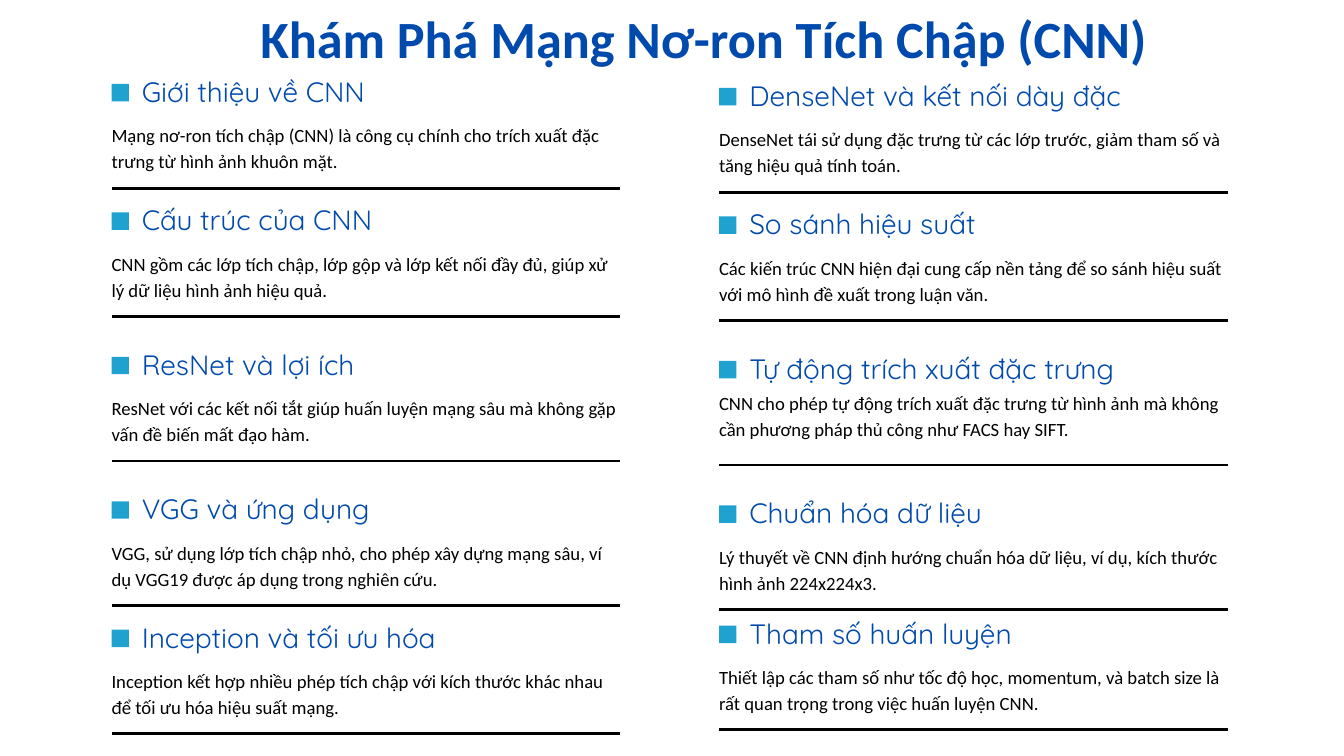
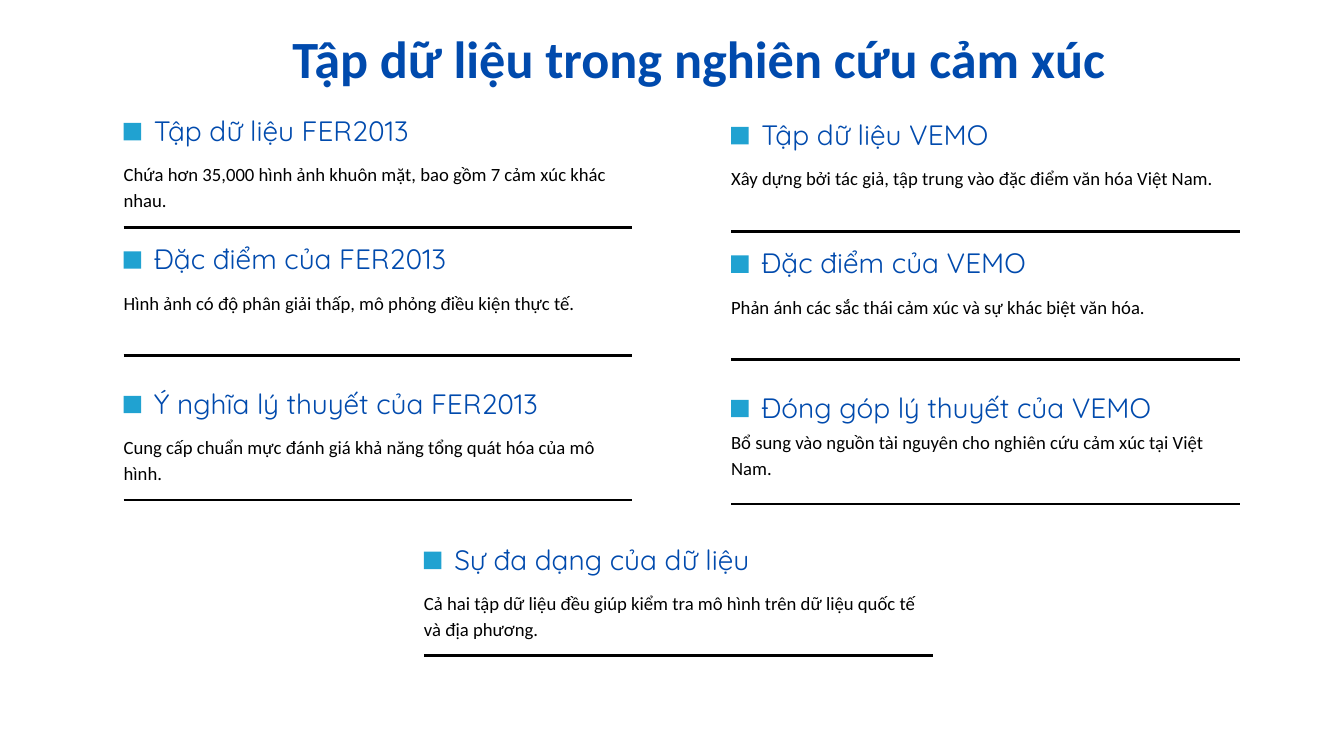
from dataclasses import dataclass
from itertools import accumulate

from lxml import etree
from pptx import Presentation
from pptx import util as u
from pptx.dml.color import RGBColor
from pptx.enum import shapes, text
from pptx.oxml.ns import qn

GRID_COLUMNS = 20
GRID_ROWS = 11.25
CELL = u.Inches(1)

BLUE = RGBColor(0x00, 0x4A, 0xAD)
CYAN = RGBColor(0x20, 0xA2, 0xD1)
BLACK = RGBColor(0x00, 0x00, 0x00)

CARD_WIDTH = 7.57
COLUMN_PITCH = 9.04
RIGHT_DROP = 0.06
MARKER_SIZE = 0.26
MARKER_DROP = 0.07
HEADING_INDENT = 0.45
BODY_DROP = 0.61
RAISED_BODY_DROP = 0.47
RULE_DROP = 1.62
SHORT_STEP = 1.91
LONG_STEP = 2.15
LAST_STEP = 1.79


@dataclass(frozen=True)
class TextStyle:
    font: str
    size: float
    leading: float
    color: RGBColor
    bold: bool = False
    align: text.PP_ALIGN = text.PP_ALIGN.LEFT


@dataclass(frozen=True)
class Card:
    heading: str
    body: str
    body_drop: float = BODY_DROP


@dataclass(frozen=True)
class CardColumn:
    left: float
    top: float
    steps: tuple[float, ...]
    cards: tuple[Card, ...]


@dataclass(frozen=True)
class CardPage:
    title: str
    title_left: float
    title_top: float
    columns: tuple[CardColumn, ...]


TITLE = TextStyle("Calibri", 56, 57.7, BLUE, True, text.PP_ALIGN.CENTER)
HEADING = TextStyle("Quicksand", 30, 30.9, BLUE)
BODY = TextStyle("Calibri", 20, 28, BLACK)

CNN_LEFT, CNN_TOP = 1.66, 1.18
DATA_LEFT, DATA_TOP = 1.84, 1.76

PAGES = (
    CardPage("Khám Phá Mạng Nơ-ron Tích Chập (CNN)", 1.45, 0.22, (
        CardColumn(CNN_LEFT, CNN_TOP, (SHORT_STEP, LONG_STEP, LONG_STEP, SHORT_STEP), (
            Card("Giới thiệu về CNN",
                 "Mạng nơ-ron tích chập (CNN) là công cụ chính cho trích xuất đặc trưng từ hình ảnh khuôn mặt."),
            Card("Cấu trúc của CNN",
                 "CNN gồm các lớp tích chập, lớp gộp và lớp kết nối đầy đủ, giúp xử lý dữ liệu hình ảnh hiệu quả."),
            Card("ResNet và lợi ích",
                 "ResNet với các kết nối tắt giúp huấn luyện mạng sâu mà không gặp vấn đề biến mất đạo hàm."),
            Card("VGG và ứng dụng",
                 "VGG, sử dụng lớp tích chập nhỏ, cho phép xây dựng mạng sâu, ví dụ VGG19 được áp dụng trong nghiên cứu."),
            Card("Inception và tối ưu hóa",
                 "Inception kết hợp nhiều phép tích chập với kích thước khác nhau để tối ưu hóa hiệu suất mạng."),
        )),
        CardColumn(CNN_LEFT + COLUMN_PITCH, CNN_TOP + RIGHT_DROP,
                   (SHORT_STEP, LONG_STEP, LONG_STEP, LAST_STEP), (
            Card("DenseNet và kết nối dày đặc",
                 "DenseNet tái sử dụng đặc trưng từ các lớp trước, giảm tham số và tăng hiệu quả tính toán."),
            Card("So sánh hiệu suất",
                 "Các kiến trúc CNN hiện đại cung cấp nền tảng để so sánh hiệu suất với mô hình đề xuất trong luận văn."),
            Card("Tự động trích xuất đặc trưng",
                 "CNN cho phép tự động trích xuất đặc trưng từ hình ảnh mà không cần phương pháp thủ công như FACS hay SIFT.",
                 RAISED_BODY_DROP),
            Card("Chuẩn hóa dữ liệu",
                 "Lý thuyết về CNN định hướng chuẩn hóa dữ liệu, ví dụ, kích thước hình ảnh 224x224x3."),
            Card("Tham số huấn luyện",
                 "Thiết lập các tham số như tốc độ học, momentum, và batch size là rất quan trọng trong việc huấn luyện CNN."),
        )),
    )),
    CardPage("Tập dữ liệu trong nghiên cứu cảm xúc", 1.38, 0.52, (
        CardColumn(DATA_LEFT, DATA_TOP, (SHORT_STEP, LONG_STEP), (
            Card("Tập dữ liệu FER2013",
                 "Chứa hơn 35,000 hình ảnh khuôn mặt, bao gồm 7 cảm xúc khác nhau."),
            Card("Đặc điểm của FER2013",
                 "Hình ảnh có độ phân giải thấp, mô phỏng điều kiện thực tế."),
            Card("Ý nghĩa lý thuyết của FER2013",
                 "Cung cấp chuẩn mực đánh giá khả năng tổng quát hóa của mô hình."),
        )),
        CardColumn(6.31, 8.14, (), (
            Card("Sự đa dạng của dữ liệu",
                 "Cả hai tập dữ liệu đều giúp kiểm tra mô hình trên dữ liệu quốc tế và địa phương."),
        )),
        CardColumn(DATA_LEFT + COLUMN_PITCH, DATA_TOP + RIGHT_DROP, (SHORT_STEP, LONG_STEP), (
            Card("Tập dữ liệu VEMO",
                 "Xây dựng bởi tác giả, tập trung vào đặc điểm văn hóa Việt Nam."),
            Card("Đặc điểm của VEMO",
                 "Phản ánh các sắc thái cảm xúc và sự khác biệt văn hóa."),
            Card("Đóng góp lý thuyết của VEMO",
                 "Bổ sung vào nguồn tài nguyên cho nghiên cứu cảm xúc tại Việt Nam.",
                 RAISED_BODY_DROP),
        )),
    )),
)


def cells(count: float) -> u.Emu:
    return u.Emu(round(count * CELL))


def write(box, words: str, style: TextStyle) -> None:
    frame = box.text_frame
    frame.word_wrap = True
    frame.auto_size = text.MSO_AUTO_SIZE.SHAPE_TO_FIT_TEXT
    frame.vertical_anchor = text.MSO_ANCHOR.TOP
    frame.margin_left = frame.margin_right = frame.margin_top = frame.margin_bottom = 0
    para = frame.paragraphs[0]
    para.alignment = style.align
    para.line_spacing = u.Pt(style.leading)
    span = para.add_run()
    span.text = words
    span.font.name = style.font
    span.font.size = u.Pt(style.size)
    span.font.bold = style.bold
    span.font.color.rgb = style.color


def add_words(page, left: float, top: float, width: float, height: float,
              words: str, style: TextStyle) -> None:
    box = page.shapes.add_textbox(cells(left), cells(top), cells(width), cells(height))
    write(box, words, style)


def add_marker(page, left: float, top: float) -> None:
    marker = page.shapes.add_shape(shapes.MSO_SHAPE.RECTANGLE, cells(left), cells(top),
                                   cells(MARKER_SIZE), cells(MARKER_SIZE))
    marker.shadow.inherit = False
    marker.fill.solid()
    marker.fill.fore_color.rgb = CYAN
    marker.line.fill.background()


def add_rule(page, left: float, top: float) -> None:
    rule = page.shapes.add_connector(shapes.MSO_CONNECTOR.STRAIGHT, cells(left), cells(top),
                                     cells(left + CARD_WIDTH), cells(top))
    rule.line.color.rgb = BLACK
    rule.line.width = u.Pt(3)
    etree.SubElement(rule._element.spPr, qn("a:effectLst"))


def add_card(page, left: float, top: float, card: Card) -> None:
    add_marker(page, left, top + MARKER_DROP)
    add_words(page, left + HEADING_INDENT, top, CARD_WIDTH - HEADING_INDENT, 0.45,
              card.heading, HEADING)
    add_words(page, left, top + card.body_drop, CARD_WIDTH, 1.15, card.body, BODY)
    add_rule(page, left, top + RULE_DROP)


def add_page(deck, content: CardPage) -> None:
    page = deck.slides.add_slide(deck.slide_layouts.get_by_name("Title Only"))
    title = page.shapes.title
    title.left, title.top = cells(content.title_left), cells(content.title_top)
    title.width, title.height = cells(18.05), cells(0.85)
    write(title, content.title, TITLE)
    for column in content.columns:
        tops = accumulate(column.steps, initial=column.top)
        for top, card in zip(tops, column.cards):
            add_card(page, column.left, top, card)


def main() -> None:
    deck = Presentation()
    deck.slide_width, deck.slide_height = cells(GRID_COLUMNS), cells(GRID_ROWS)
    for content in PAGES:
        add_page(deck, content)
    deck.save("out.pptx")


if __name__ == "__main__":
    main()
